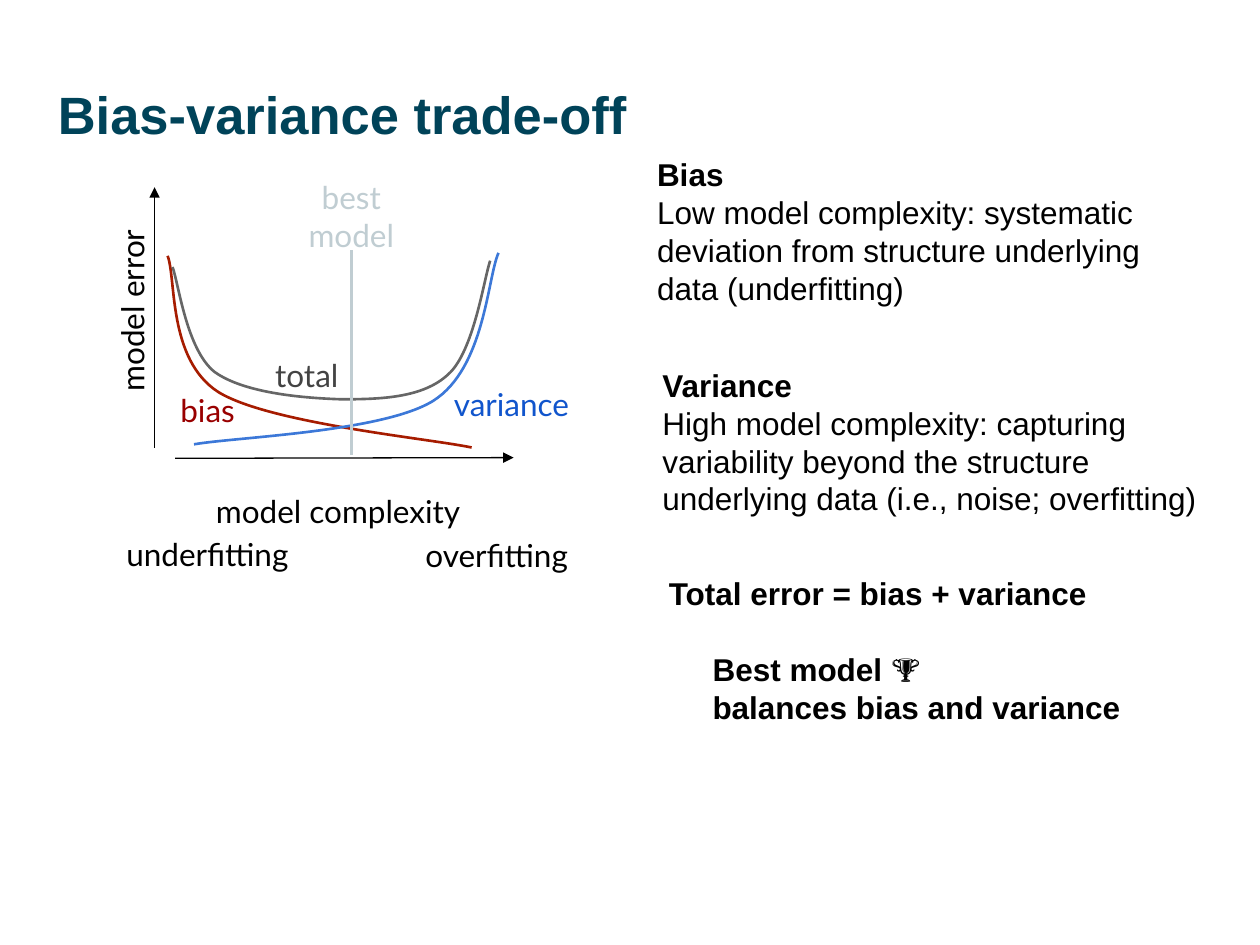
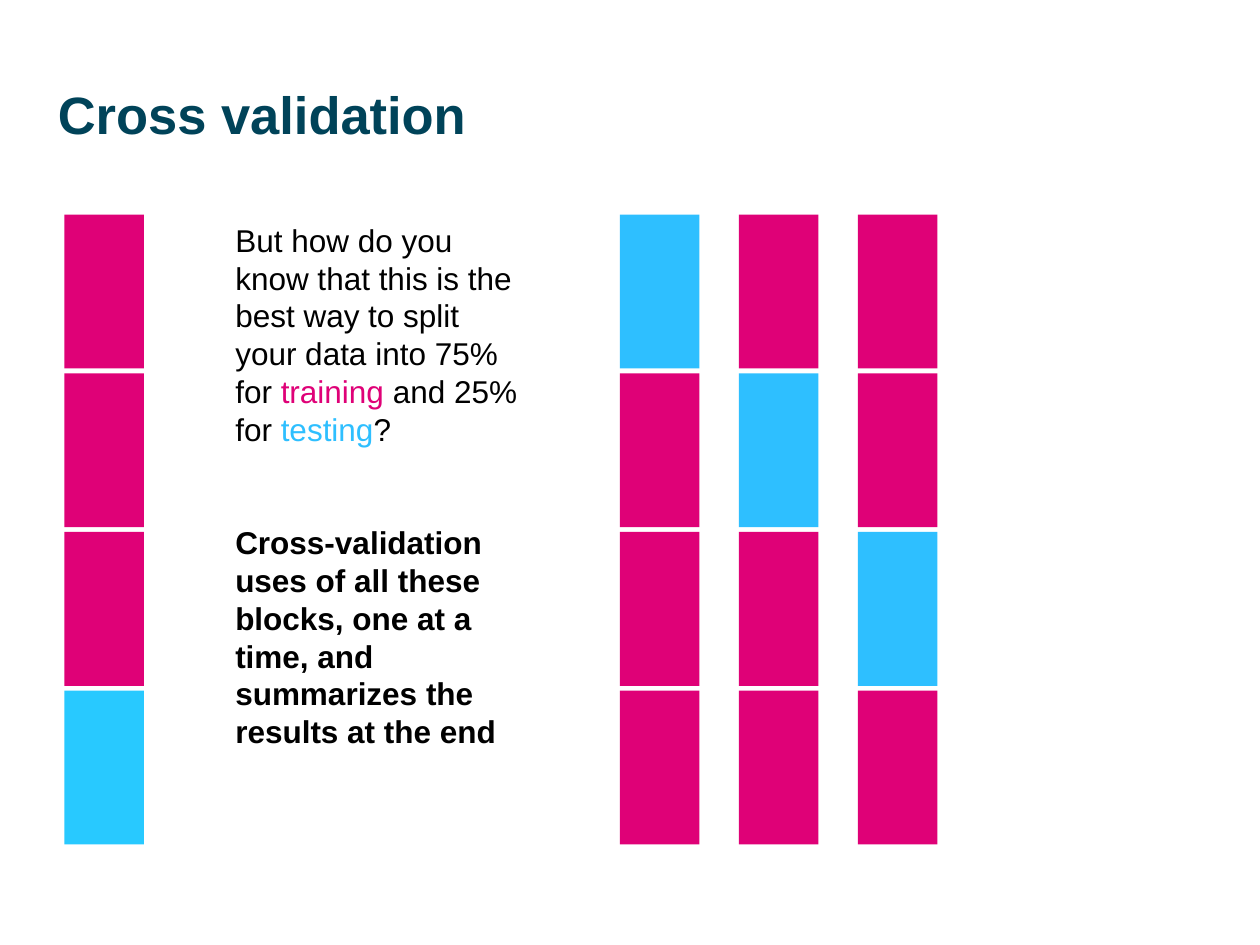
from dataclasses import dataclass

from lxml.etree import SubElement
from pptx import Presentation
from pptx.dml.color import RGBColor
from pptx.enum.shapes import MSO_CONNECTOR as Connector, MSO_SHAPE as Shape
from pptx.enum.text import MSO_ANCHOR as Anchor, PP_ALIGN as Align
from pptx.oxml.ns import qn
from pptx.util import Pt


@dataclass(frozen=True)
class Theme:
    heading: str = "004359"
    text: str = "000000"
    bias: str = "A61C00"
    bias_label: str = "990000"
    variance: str = "3C78D8"
    variance_label: str = "1155CC"
    total: str = "666666"
    total_label: str = "434343"
    best: str = "C0CDD2"
    training: str = "DF0177"
    testing: str = "2EBFFF"
    first_testing: str = "28C9FF"
    font: str = "Arial"
    diagram_font: str = "Lato"
    title_size: float = 30
    body_size: float = 18
    line_factor: float = 1.2
    axis_width: float = 0.75
    curve_width: float = 1.5


THEME = Theme()
BODY_LINE = THEME.body_size * THEME.line_factor
BREAK = "\n"

# Each text box is a list of paragraphs: (runs, space before, indent).
# Each run is (text, bold, colour).

# Slide 1: the trade-off diagram
# Curves: colour, then start point followed by triples of Bezier points
CURVES = [
    (THEME.bias, [(95.8, 146.2), (100.8, 159.1), (95.8, 205.2), (124.6, 223.9),
                  (153.4, 241.9), (245.5, 250.6), (269.5, 255.7)]),
    (THEME.total, [(98.6, 152.6), (102.2, 162.7), (106.6, 199.4), (122.4, 212.4),
                   (139, 224.6), (172.8, 227.5), (195.1, 228.2),
                   (217.4, 228.2), (241.9, 227.5), (256.3, 213.8),
                   (270.7, 200.9), (276.5, 159.8), (280.1, 149)]),
    (THEME.variance, [(284.9, 144.5), (278.6, 158.4), (277.2, 210.2), (247.7, 229),
                      (218.9, 247), (133.9, 249.8), (110.9, 253.9)]),
]
# Lines: start, end, colour, width, has an arrowhead
LINES = [
    ((88.3, 255.8), (88.3, 107), THEME.text, THEME.axis_width, True),
    ((100.1, 261.9), (293.5, 261.5), THEME.text, THEME.axis_width, True),
    ((200.9, 259.9), (200.9, 142.6), THEME.best, THEME.curve_width, False),
]
# Labels: lines of text, (left, top, width, height), colour, alignment, rotation
LABELS = [
    (["model error"], (13.6, 162.5, 112, 24.5), THEME.text, Align.LEFT, 270),
    (["bias"], (96, 216, 56, 31), THEME.bias_label, Align.LEFT, 0),
    (["total"], (150.2, 196.2, 56, 34), THEME.total_label, Align.LEFT, 0),
    (["variance"], (252.3, 212.7, 90.7, 34), THEME.variance_label, Align.LEFT, 0),
    (["underfitting"], (65.1, 298.5, 110, 28), THEME.text, Align.LEFT, 0),
    (["overfitting"], (217.8, 299.2, 113.8, 28), THEME.text, Align.RIGHT, 0),
    (["best", "model"], (142.8, 94.6, 115.9, 43.2), THEME.best, Align.CENTER, 0),
    (["model complexity"], (116.3, 274, 166.3, 29.5), THEME.text, Align.LEFT, 0),
]
EXPLANATIONS = [
    ((368.4, 81.6, 313.9, 45.4), [
        ([("Bias", True, THEME.text), (BREAK, True, THEME.text),
          ("Low model complexity: systematic deviation from structure "
           "underlying data (underfitting)", False, THEME.text)], 0, 0),
    ]),
    ((371.4, 202, 323.3, 45.4), [
        ([("Variance", True, THEME.text), (BREAK, True, THEME.text),
          ("High model complexity: capturing variability beyond the structure "
           "underlying data (i.e., noise; overfitting)", False, THEME.text)], 0, 0),
    ]),
    ((375.1, 321.1, 313.9, 31), [
        ([("Total error = bias + variance", True, THEME.text)], 0, 0),
        ([("Best model", True, THEME.text), (" 🏆", False, THEME.text)], BODY_LINE, 25),
        ([("balances bias and variance", True, THEME.text)], 0, 25),
    ]),
]

# Slide 2: columns of blocks, as (left, index of the testing block, its colour)
FOLD_COUNT = 4
BLOCK_WIDTH, BLOCK_HEIGHT = 45.4, 87.9
BLOCK_TOP, BLOCK_PITCH = 122.6, 90.7
SPLITS_LEFT, SPLIT_PITCH = 354.3, 68
SPLITS = [(36.8, FOLD_COUNT - 1, THEME.first_testing)] + [
    (SPLITS_LEFT + fold * SPLIT_PITCH, fold, THEME.testing)
    for fold in range(FOLD_COUNT - 1)
]
QUESTION_BOX = (127.4, 122.7, 175.7, 309.6)
QUESTION = [
    ([("But how do you know that this is the best way to split your data into 75% for ",
       False, THEME.text),
      ("training", False, THEME.training),
      (" and 25% for ", False, THEME.text),
      ("testing", False, THEME.testing),
      ("?", False, THEME.text)], 0, 0),
    ([("Cross-validation uses of all these blocks, one at a time, and summarizes "
       "the results at the end", True, THEME.text)], 2 * BODY_LINE, 0),
]

TITLE_BOX = (26, 43.2, 645.8, 102.2)


def rgb(colour):
    return RGBColor.from_string(colour)


def add_text(slide, box, paragraphs, font=THEME.font, size=THEME.body_size,
             margin=7.2, align=Align.LEFT, rotation=0):
    """Add a text box; margin is the space above and below the text."""
    shape = slide.shapes.add_textbox(*map(Pt, box))
    shape.rotation = rotation
    frame = shape.text_frame
    frame.word_wrap = True
    frame.vertical_anchor = Anchor.TOP
    frame.margin_left = frame.margin_right = Pt(7.2)
    frame.margin_top = frame.margin_bottom = Pt(margin)
    for index, (runs, space_before, indent) in enumerate(paragraphs):
        paragraph = frame.add_paragraph() if index else frame.paragraphs[0]
        paragraph.alignment = align
        if font == THEME.font:
            paragraph.line_spacing = Pt(size * THEME.line_factor)
        if space_before:
            paragraph.space_before = Pt(space_before)
        if indent:
            properties = paragraph._p.get_or_add_pPr()
            properties.set("marL", str(Pt(indent)))
            properties.set("indent", "0")
        paragraph.font.size = Pt(size)
        for text, bold, colour in runs:
            if text == BREAK:
                paragraph.add_line_break()
                continue
            run = paragraph.add_run()
            run.text = text
            run.font.name = font
            run.font.size = Pt(size)
            run.font.bold = bold
            run.font.color.rgb = rgb(colour)


def add_titled_slide(presentation, title):
    slide = presentation.slides.add_slide(presentation.slide_layouts[6])
    add_text(slide, TITLE_BOX, [([(title, True, THEME.heading)], 0, 0)],
             size=THEME.title_size, margin=3.6)
    return slide


def add_line(slide, start, end, colour, width, arrow):
    line = slide.shapes.add_connector(Connector.STRAIGHT, *map(Pt, start + end))
    line.line.color.rgb = rgb(colour)
    line.line.width = Pt(width)
    if arrow:
        SubElement(line.line._get_or_add_ln(), qn("a:tailEnd"), type="triangle")
    SubElement(line._element.spPr, qn("a:effectLst"))


def add_curve(slide, colour, controls):
    """Draw the control polygon, then turn each three segments into a Bezier."""
    start, *others = [tuple(map(Pt, point)) for point in controls]
    builder = slide.shapes.build_freeform(*start)
    builder.add_line_segments(others, close=False)
    curve = builder.convert_to_shape()
    segments = list(curve._element.iter(qn("a:lnTo")))
    outline = segments[0].getparent()
    for first in range(0, len(segments), 3):
        bezier = SubElement(outline, qn("a:cubicBezTo"))
        for segment in segments[first:first + 3]:
            bezier.append(segment[0])
            outline.remove(segment)
    curve.shadow.inherit = False
    curve.fill.background()
    curve.line.color.rgb = rgb(colour)
    curve.line.width = Pt(THEME.curve_width)


def add_block(slide, left, top, colour):
    block = slide.shapes.add_shape(
        Shape.RECTANGLE, Pt(left), Pt(top), Pt(BLOCK_WIDTH), Pt(BLOCK_HEIGHT))
    block.shadow.inherit = False
    block.fill.solid()
    block.fill.fore_color.rgb = rgb(colour)
    block.line.fill.background()


def build_trade_off(presentation):
    slide = add_titled_slide(presentation, "Bias-variance trade-off")
    for colour, controls in CURVES:
        add_curve(slide, colour, controls)
    for line in LINES:
        add_line(slide, *line)
    for texts, box, colour, align, rotation in LABELS:
        paragraphs = [([(text, False, colour)], 0, 0) for text in texts]
        add_text(slide, box, paragraphs, font=THEME.diagram_font,
                 align=align, rotation=rotation)
    for box, paragraphs in EXPLANATIONS:
        add_text(slide, box, paragraphs)


def build_cross_validation(presentation):
    slide = add_titled_slide(presentation, "Cross validation")
    for left, testing_fold, testing_colour in SPLITS:
        for fold in range(FOLD_COUNT):
            colour = testing_colour if fold == testing_fold else THEME.training
            add_block(slide, left, BLOCK_TOP + fold * BLOCK_PITCH, colour)
    add_text(slide, QUESTION_BOX, QUESTION, margin=3.6)


def main():
    presentation = Presentation()
    presentation.slide_width, presentation.slide_height = Pt(720), Pt(540)
    build_trade_off(presentation)
    build_cross_validation(presentation)
    presentation.save("out.pptx")


if __name__ == "__main__":
    main()
